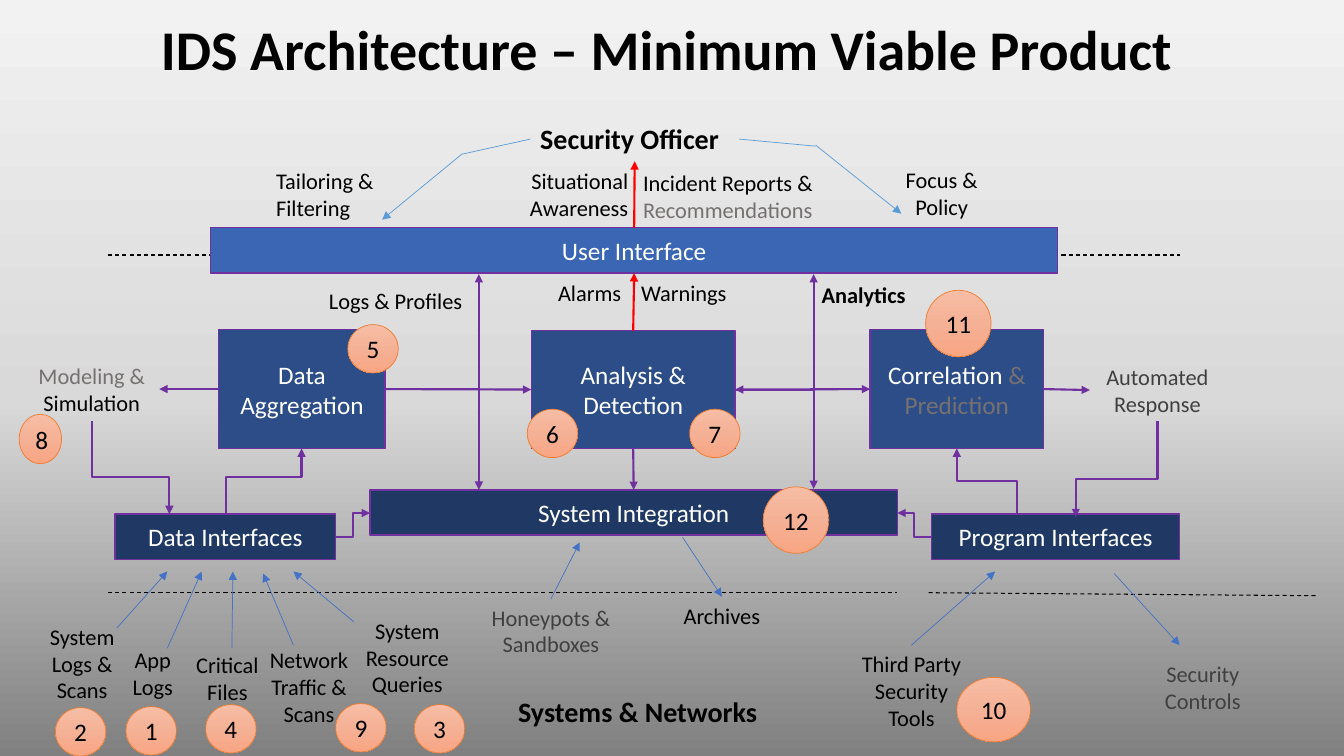
from lxml import etree
from pptx import Presentation
from pptx.dml.color import RGBColor
from pptx.enum.dml import MSO_LINE
from pptx.enum.shapes import MSO_CONNECTOR, MSO_SHAPE
from pptx.enum.text import MSO_ANCHOR, MSO_AUTO_SIZE, PP_ALIGN
from pptx.oxml.ns import qn
from pptx.util import Inches, Pt

LEFT, CENTER, RIGHT = PP_ALIGN.LEFT, PP_ALIGN.CENTER, PP_ALIGN.RIGHT
TOP, WEST, BOTTOM, EAST = range(4)
STRAIGHT, ELBOW = MSO_CONNECTOR.STRAIGHT, MSO_CONNECTOR.ELBOW


class Theme:
    font = "Calibri"
    title, heading, box, label = 40, 20, 18, 16
    black, white, dark, muted = "000000", "FFFFFF", "404040", "767171"
    bar, block, base = "3A66B4", "2C4D88", "203864"
    purple, red, blue, sky, orange = "7030A0", "FF0000", "4472C4", "5B9BD5", "ED7D31"
    page = [(0, "F2F2F2"), (53, "D9D9D9"), (100, "808080")]
    badge = [(0, "F7BDA5"), (50, "F5B196"), (100, "F8A582")]


# Content: name -> (left, top, width, height), fill, text
TITLE = "IDS Architecture – Minimum Viable Product"
BOXES = {
    "integration": ((3.67, 4.86, 5.23, 0.45), Theme.base, "System Integration"),
    "analysis": ((5.27, 3.28, 2.02, 1.17), Theme.block, "Analysis & Detection"),
    "aggregation": ((2.17, 3.27, 1.65, 1.18), Theme.block, "Data Aggregation"),
    "correlation": ((8.63, 3.27, 1.72, 1.18), Theme.block,
                    [("Correlation ", Theme.white), ("& Prediction", Theme.muted)]),
    "interface": ((2.09, 2.26, 8.4, 0.45), Theme.bar, "User Interface"),
    "data": ((1.14, 5.1, 2.19, 0.45), Theme.base, "Data Interfaces"),
    "program": ((9.24, 5.1, 2.46, 0.45), Theme.base, "Program Interfaces"),
}
# name -> (left, top, width, height), text, format
HEADING = {"size": Theme.heading, "bold": True, "align": LEFT}
LABELS = {
    "officer": ((5.26, 1.16, 2.07, 0.44), "Security Officer", HEADING),
    "networks": ((5.04, 6.84, 3.97, 0.44), "Systems & Networks", HEADING),
    "tailoring": ((2.64, 1.61, 1.93, 0.64), "Tailoring & Filtering", {"align": LEFT}),
    "awareness": ((4.4, 1.61, 1.93, 0.64), "Situational Awareness", {"align": RIGHT}),
    "reports": ((6.28, 1.63, 1.91, 0.64),
                [("Incident Reports & ", Theme.black), ("Recommendations", Theme.muted)],
                {"align": LEFT}),
    "focus": ((8.74, 1.6, 1.2, 0.64), "Focus & Policy", {}),
    "alarms": ((5.26, 2.72, 1, 0.37), "Alarms", {"align": RIGHT}),
    "warnings": ((6.26, 2.72, 1.1, 0.37), "Warnings", {"align": LEFT}),
    "profiles": ((3.01, 2.8, 1.83, 0.37), "Logs & Profiles", {}),
    "analytics": ((8.05, 2.74, 1.83, 0.37), "Analytics", {"align": LEFT, "bold": True}),
    "modeling": ((0.24, 3.54, 1.34, 0.64),
                 [("Modeling & ", Theme.muted), ("Simulation", Theme.black)], {}),
    "response": ((10.81, 3.55, 1.34, 0.64), "Automated Response", {"colour": Theme.dark}),
    "logs": ((0.33, 6.13, 0.97, 0.91), "System Logs & Scans", {}),
    "app": ((1.03, 6.36, 0.97, 0.64), "App\nLogs", {}),
    "files": ((1.77, 6.41, 0.97, 0.64), "Critical Files", {}),
    "traffic": ((2.56, 6.36, 1.01, 0.91), "Network Traffic & Scans", {}),
    "queries": ((3.44, 6.07, 1.2, 0.91), "System Resource Queries", {}),
    "honeypots": ((4.71, 5.94, 1.51, 0.64), "Honeypots & Sandboxes", {"colour": Theme.dark}),
    "archives": ((6.56, 5.92, 1.2, 0.37), "Archives", {}),
    "tools": ((8.44, 6.4, 1.2, 0.91), "Third Party\nSecurity Tools", {}),
    "controls": ((11.33, 6.5, 1.2, 0.64), "Security Controls", {"colour": Theme.dark}),
}
BOUNDARIES = [((1.07, 5.88), (8.9, 5.88)), ((1.07, 2.53), (11.7, 2.53)),
              ((9.21, 5.88), (13.05, 5.91))]
# An end is a point (x, y) or a named part with one of its sides
FLOWS = [
    (Theme.purple, 1.5, [
        ((4.75, 3.87), (4.75, 2.72)), ((8.07, 3.87), (8.07, 2.72)),
        (("aggregation", EAST), ("analysis", WEST)),
        (("analysis", BOTTOM), ("integration", TOP)),
        (("correlation", EAST), ("response", WEST)),
        (("aggregation", WEST), ("modeling", EAST))]),
    (Theme.red, 1.5, [
        (("analysis", TOP), ("interface", BOTTOM)), (("interface", TOP), ("officer", BOTTOM))]),
    (Theme.blue, 0.5, [
        ((1.16, 6.23), (1.66, 5.67)), ((1.66, 6.43), (2, 5.67)), ((2.3, 6.43), (2.31, 5.67)),
        ((2.91, 6.4), (2.61, 5.69)), ((3.51, 6.17), (2.91, 5.67)),
        (("tools", TOP), (9.87, 5.67)), ((11.05, 5.69), (11.7, 6.4)),
        (("honeypots", TOP), (5.75, 5.38)), ((6.77, 5.33), ("archives", TOP))]),
    (Theme.sky, 0.5, [((8.09, 1.44), (8.94, 2.12)), ((4.58, 1.53), (3.79, 2.18))]),
]
OFFICER_LINES = [(("officer", EAST), (8.09, 1.45)), (("officer", WEST), (4.58, 1.53))]
# begin, end, share of the way to the bend (None: one corner), starts vertically
ELBOWS = [
    ((3.81, 3.86), (4.75, 4.86), None, False), ((7.29, 3.87), (8.07, 4.85), None, False),
    ((2.24, 5.1), (2.99, 4.45), 0.56, True), ((10.09, 5.09), (9.49, 4.45), 0.5, True),
    ((11.48, 4.18), (10.67, 5.13), 0.6, True), ((0.91, 4.18), (1.68, 5.1), 0.6, True),
    ((9.24, 5.33), (8.9, 5.09), 0.5, False), ((3.33, 5.33), (3.67, 5.09), 0.5, False),
]
SMALL = (0.5, 0.48)
BADGES = [
    (2, (0.55, 7.02), SMALL), (1, (1.25, 7.01), SMALL), (4, (2.04, 6.99), SMALL),
    (9, (3.33, 6.98), SMALL), (3, (4.11, 6.99), SMALL), (8, (0.19, 4.11), (0.42, 0.49)),
    (12, (7.57, 4.83), (0.65, 0.66)), (10, (9.49, 6.72), (0.73, 0.64)),
    (5, (3.45, 3.22), SMALL), (6, (5.23, 4.06), SMALL),
    (11, (9.18, 2.88), (0.65, 0.66)), (7, (6.84, 4.06), SMALL),
]


def rgb(colour):
    return RGBColor.from_string(colour)


def write(frame, text, *, size=Theme.label, colour=Theme.black, bold=False,
          align=CENTER, anchor=MSO_ANCHOR.TOP, spacing=None):
    """Fill a frame from a string, or from one paragraph of (text, colour) spans."""
    frame.word_wrap = True
    frame.vertical_anchor = anchor
    lines = [[(line, colour)] for line in text.split("\n")] if isinstance(text, str) else [text]
    for index, line in enumerate(lines):
        para = frame.add_paragraph() if index else frame.paragraphs[0]
        para.alignment = align
        para.line_spacing = spacing
        for words, tint in line:
            span = para.add_run()
            span.text = words
            span.font.name, span.font.size, span.font.bold = Theme.font, Pt(size), bold
            span.font.color.rgb = rgb(tint)


def shade(fill, element, stops):
    """Apply a top-to-bottom gradient with any number of stops."""
    fill.gradient()
    fill.gradient_angle = 270
    stop_list = next(element.iter(qn("a:gsLst")))
    stop_list.clear()
    for percent, colour in stops:
        stop = etree.SubElement(stop_list, qn("a:gs"), pos=str(percent * 1000))
        etree.SubElement(stop, qn("a:srgbClr"), val=colour)


def add_shape(page, kind, area, text, outline, weight, colour):
    shape = page.shapes.add_shape(kind, *map(Inches, area))
    shape.shadow.inherit = False
    shape.line.color.rgb, shape.line.width = rgb(outline), Pt(weight)
    write(shape.text_frame, text, size=Theme.box, colour=colour, anchor=MSO_ANCHOR.MIDDLE)
    return shape


def locate(end, parts):
    """Give the position of a point or of the middle of a part's side."""
    if end[0] not in parts:
        return Inches(end[0]), Inches(end[1])
    part, side = parts[end[0]], end[1]
    across = {WEST: 0, EAST: part.width}.get(side, part.width // 2)
    down = {TOP: 0, BOTTOM: part.height}.get(side, part.height // 2)
    return part.left + across, part.top + down


def connect(page, parts, begin, end, colour, weight, *, kind=STRAIGHT, heads=("tailEnd",), dash=None):
    line = page.shapes.add_connector(kind, *locate(begin, parts), *locate(end, parts))
    if begin[0] in parts:
        line.begin_connect(parts[begin[0]], begin[1])
    if end[0] in parts:
        line.end_connect(parts[end[0]], end[1])
    line.line.color.rgb, line.line.width = rgb(colour), Pt(weight)
    if dash:
        line.line.dash_style = dash
    properties = line.element.spPr
    for head in heads:
        etree.SubElement(properties.find(qn("a:ln")), qn("a:" + head), type="triangle")
    etree.SubElement(properties, qn("a:effectLst"))
    return line


def bend(line, begin, end, share, vertical):
    """Set the corner of an elbow; turn it when it leaves vertically."""
    geometry = line.element.spPr.find(qn("a:prstGeom"))
    if share is None:
        geometry.set("prst", "bentConnector2")
    else:
        guides = geometry.find(qn("a:avLst"))
        etree.SubElement(guides, qn("a:gd"), name="adj1", fmla=f"val {round(share * 100000)}")
    if vertical:
        dx, dy = end[0] - begin[0], end[1] - begin[1]
        opposite = dx * dy < 0
        width, height = abs(dy), abs(dx)
        line.left = Inches((begin[0] + end[0] - width) / 2)
        line.top = Inches((begin[1] + end[1] - height) / 2)
        line.width, line.height = Inches(width), Inches(height)
        frame = line.element.spPr.find(qn("a:xfrm"))
        frame.set("rot", "5400000" if opposite else "16200000")
        frame.set("flipH", str(int((dy < 0) == opposite)))
        frame.set("flipV", str(int((dx > 0) == opposite)))


def main():
    deck = Presentation()
    deck.slide_width, deck.slide_height = Inches(13.33), Inches(7.5)
    page = deck.slides.add_slide(deck.slide_layouts[5])
    shade(page.background.fill, page.element, Theme.page)

    # Title
    title = page.shapes.title
    title.left, title.top, title.width, title.height = map(Inches, (1.43, 0.01, 10.36, 1.02))
    write(title.text_frame, TITLE, size=Theme.title, bold=True,
          anchor=MSO_ANCHOR.MIDDLE, spacing=0.9)

    # Boundaries lie behind the boxes
    parts = {}
    for begin, end in BOUNDARIES:
        connect(page, parts, begin, end, Theme.black, 0.75, heads=(), dash=MSO_LINE.DASH)

    # Boxes and labels
    for name, (area, fill, text) in BOXES.items():
        box = add_shape(page, MSO_SHAPE.RECTANGLE, area, text, Theme.purple, 1, Theme.white)
        box.fill.solid()
        box.fill.fore_color.rgb = rgb(fill)
        parts[name] = box
    for name, (area, text, style) in LABELS.items():
        parts[name] = page.shapes.add_textbox(*map(Inches, area))
        write(parts[name].text_frame, text, **style)
        parts[name].text_frame.auto_size = MSO_AUTO_SIZE.SHAPE_TO_FIT_TEXT

    # Arrows and lines
    for colour, weight, ends in FLOWS:
        for begin, end in ends:
            connect(page, parts, begin, end, colour, weight)
    connect(page, parts, ("analysis", EAST), ("correlation", WEST), Theme.purple, 1.5,
            heads=("headEnd", "tailEnd"))
    for begin, end in OFFICER_LINES:
        connect(page, parts, begin, end, Theme.sky, 0.5, heads=())
    for begin, end, share, vertical in ELBOWS:
        line = connect(page, parts, begin, end, Theme.purple, 1.5, kind=ELBOW)
        bend(line, begin, end, share, vertical)

    # Numbered badges
    for number, corner, size in BADGES:
        badge = add_shape(page, MSO_SHAPE.OVAL, corner + size, str(number),
                          Theme.orange, 0.5, Theme.black)
        shade(badge.fill, badge.element, Theme.badge)

    deck.save("out.pptx")


if __name__ == "__main__":
    main()
